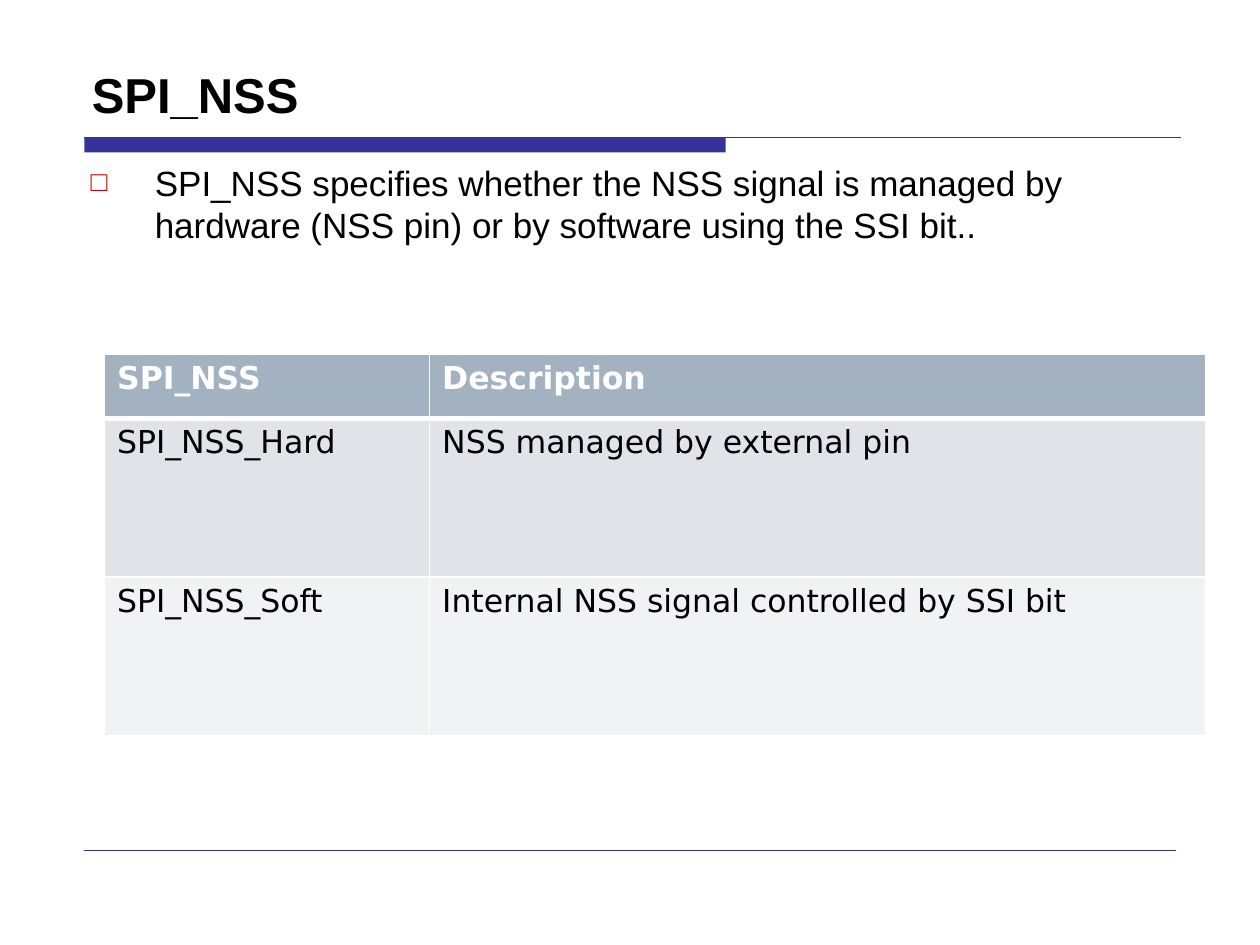
from lxml import etree
from pptx import Presentation
from pptx.dml.color import RGBColor
from pptx.enum.shapes import MSO_CONNECTOR, MSO_SHAPE
from pptx.enum.text import MSO_ANCHOR
from pptx.oxml.ns import qn
from pptx.util import Inches, Pt

LINE = MSO_CONNECTOR.STRAIGHT
RECT = MSO_SHAPE.RECTANGLE
TOP = MSO_ANCHOR.TOP
BOTTOM = MSO_ANCHOR.BOTTOM

NAVY, BLACK, WHITE, RED = "333399", "000000", "FFFFFF", "CC0000"
FILLS = ["A3B2C1", "E0E4E9", "F0F2F4"]
COLS = [2.58, 6.16]
ROWS = [0.51, 1.26, 1.26]
CELLS = [
    ["SPI_NSS", "Description"],
    ["SPI_NSS_Hard", "NSS managed by external pin"],
    ["SPI_NSS_Soft", "Internal NSS signal controlled by SSI bit"],
]


def color(code):
    """Turn a hex string into a colour."""
    return RGBColor.from_string(code)


def write(frame, text, size=20, font="Arial", ink=BLACK, bold=False):
    """Fill a text frame with one formatted paragraph and return it."""
    para = frame.paragraphs[0]
    run = para.add_run()
    run.text = text
    run.font.size = Pt(size)
    run.font.name = font
    run.font.bold = bold
    run.font.color.rgb = color(ink)
    return para


def add_text(slide, box, text, anchor=TOP, **style):
    """Add a wrapped text box and return its paragraph."""
    frame = slide.shapes.add_textbox(*map(Inches, box)).text_frame
    frame.word_wrap = True
    frame.vertical_anchor = anchor
    return write(frame, text, **style)


def add_bullet(para, char, ink, indent):
    """Give a paragraph a coloured bullet with a hanging indent."""
    props = para._p.get_or_add_pPr()
    props.set("marL", str(Inches(indent)))
    props.set("indent", str(-Inches(indent)))
    tint = etree.SubElement(props, qn("a:buClr"))
    etree.SubElement(tint, qn("a:srgbClr"), val=ink)
    etree.SubElement(props, qn("a:buSzPct"), val="80000")
    etree.SubElement(props, qn("a:buFont"), typeface="Arial")
    etree.SubElement(props, qn("a:buChar"), char=char)


def add_line(slide, left, right, top, width):
    """Draw a level navy line."""
    ends = map(Inches, (left, top, right, top))
    line = slide.shapes.add_connector(LINE, *ends)
    line.line.color.rgb = color(NAVY)
    line.line.width = Pt(width)
    etree.SubElement(line._element.spPr, qn("a:effectLst"))


def add_bar(slide, box):
    """Draw a solid navy bar without outline."""
    bar = slide.shapes.add_shape(RECT, *map(Inches, box))
    bar.shadow.inherit = False
    bar.fill.solid()
    bar.fill.fore_color.rgb = color(NAVY)
    bar.line.fill.background()


def add_edges(cell, widths):
    """Set white cell borders from a map of side to point width."""
    props = cell._tc.get_or_add_tcPr()
    for side, width in widths.items():
        edge = etree.SubElement(props, qn(f"a:ln{side}"), w=str(Pt(width)))
        fill = etree.SubElement(edge, qn("a:solidFill"))
        etree.SubElement(fill, qn("a:srgbClr"), val=WHITE)


def add_grid(slide, left, top):
    """Add the table of NSS modes."""
    size = map(Inches, (left, top, sum(COLS), sum(ROWS)))
    table = slide.shapes.add_table(len(ROWS), len(COLS), *size).table
    for col, width in zip(table.columns, COLS):
        col.width = Inches(width)
    for r, texts in enumerate(CELLS):
        table.rows[r].height = Inches(ROWS[r])
        head = r == 0
        widths = {"L": 1, "R": 1, "T": 3 if r == 1 else 1, "B": 3 if head else 1}
        for c, text in enumerate(texts):
            cell = table.cell(r, c)
            add_edges(cell, widths)
            cell.fill.solid()
            cell.fill.fore_color.rgb = color(FILLS[r])
            write(cell.text_frame, text, size=18, font="DejaVu Sans",
                  ink=WHITE if head else BLACK, bold=head)


def main():
    """Build and save the slide."""
    deck = Presentation()
    deck.slide_width, deck.slide_height = Inches(10), Inches(7.5)
    slide = deck.slides.add_slide(deck.slide_layouts[6])
    add_bar(slide, (0.67, 1.09, 5.09, 0.12))
    add_line(slide, 0.67, 9.37, 1.09, 0.75)
    add_line(slide, 0.67, 9.33, 6.75, 0.25)
    add_text(slide, (0.63, 0.28, 8.75, 0.75), "SPI_NSS",
             anchor=BOTTOM, size=28, bold=True)
    para = add_text(slide, (0.62, 1.23, 8.75, 5.43),
                    "SPI_NSS specifies whether the NSS signal is managed by "
                    "hardware (NSS pin) or by software using the SSI bit..")
    para.space_before = Pt(4)
    add_bullet(para, "□", RED, 0.51)
    add_grid(slide, 0.83, 2.81)
    deck.save("out.pptx")


if __name__ == "__main__":
    main()
